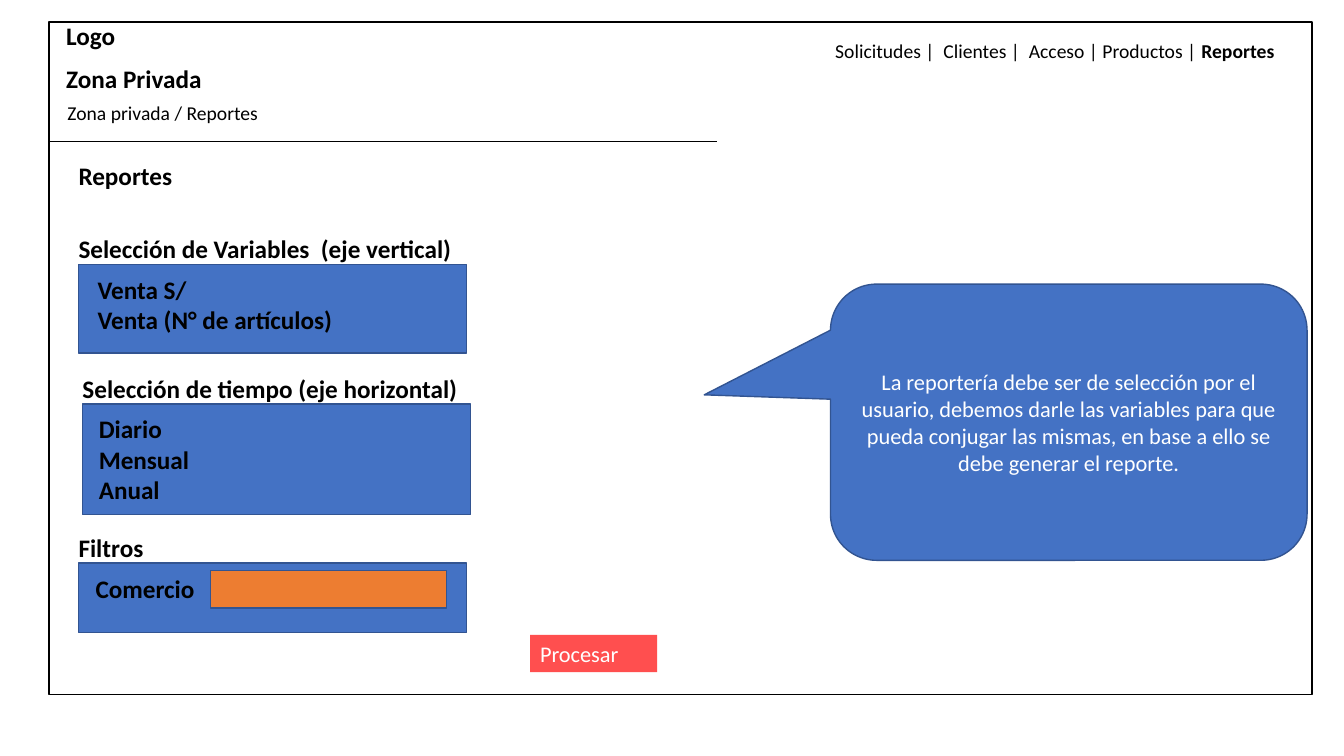
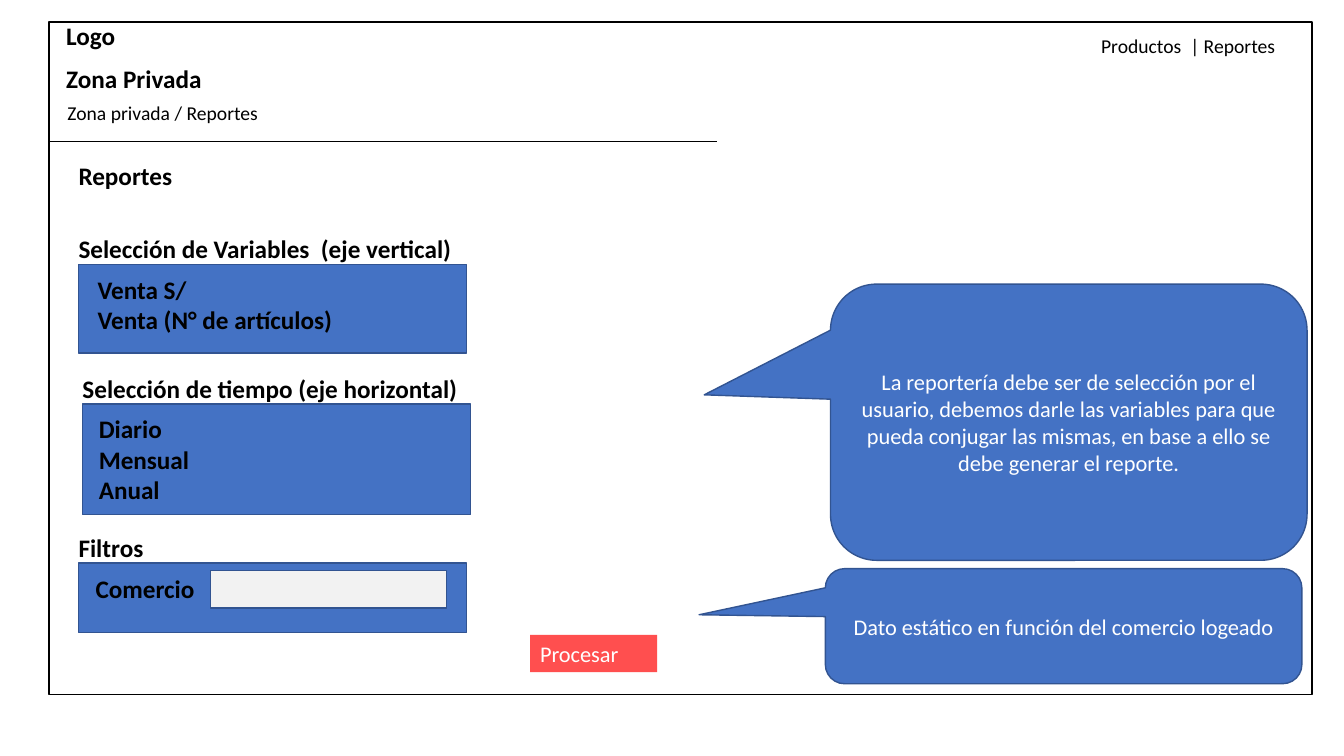
from pptx import Presentation
from pptx.dml.color import RGBColor
from pptx.enum.shapes import MSO_CONNECTOR, MSO_SHAPE
from pptx.enum.text import MSO_ANCHOR, PP_ALIGN
from pptx.oxml.ns import qn
from pptx.util import Cm, Pt
from lxml import etree

RECT = MSO_SHAPE.RECTANGLE
BUBBLE = MSO_SHAPE.ROUNDED_RECTANGULAR_CALLOUT
STRAIGHT = MSO_CONNECTOR.STRAIGHT
TOP, MIDDLE = MSO_ANCHOR.TOP, MSO_ANCHOR.MIDDLE
LEFT, CENTER = PP_ALIGN.LEFT, PP_ALIGN.CENTER

FONT = "Calibri"
BLACK = RGBColor(0x00, 0x00, 0x00)
WHITE = RGBColor(0xFF, 0xFF, 0xFF)
BLUE = RGBColor(0x44, 0x72, 0xC4)
NAVY = RGBColor(0x32, 0x54, 0x91)
RED = RGBColor(0xFF, 0x4F, 0x4F)
ORANGE = RGBColor(0xED, 0x7D, 0x31)
GRAY = RGBColor(0xF2, 0xF2, 0xF2)

# Panels: left, top, box height, text inset, title, lines
PANELS = [
    (1.73, 5.75, 2.24, 0.48, "Selección de Variables  (eje vertical)",
     ["Venta S/", "Venta (N° de artículos)"]),
    (1.83, 9.27, 2.79, 0.41, "Selección de tiempo (eje horizontal)",
     ["Diario", "Mensual", "Anual"]),
    (1.73, 13.28, 1.75, 0.43, "Filtros", ["Comercio"]),
]
ADVICE = ("La reportería debe ser de selección por el usuario, debemos darle "
          "las variables para que pueda conjugar las mismas, en base a ello "
          "se debe generar el reporte.")


def write(shape, lines, size, color=BLACK, bold=False, align=LEFT, anchor=TOP):
    frame = shape.text_frame
    frame.word_wrap = True
    frame.vertical_anchor = anchor
    frame.text = "\n".join(lines)
    for para in frame.paragraphs:
        para.alignment = align
        font = para.font
        font.name, font.size, font.bold = FONT, Pt(size), bold
        font.color.rgb = color


def label(slide, x, y, width, lines, size=18, bold=True):
    height = 0.25 + len(lines) * size * 0.0425
    box = slide.shapes.add_textbox(Cm(x), Cm(y), Cm(width), Cm(height))
    write(box, lines, size, bold=bold)
    return box


def block(slide, x, y, width, height, fill=None, line=NAVY, kind=RECT):
    shape = slide.shapes.add_shape(kind, Cm(x), Cm(y), Cm(width), Cm(height))
    shape.shadow.inherit = False
    if fill is None:
        shape.fill.background()
    else:
        shape.fill.solid()
        shape.fill.fore_color.rgb = fill
    if line is None:
        shape.line.fill.background()
    else:
        shape.line.color.rgb = line
        shape.line.width = Pt(1)
    return shape


def rule(slide, x, y, end):
    line = slide.shapes.add_connector(STRAIGHT, Cm(x), Cm(y), Cm(end), Cm(y))
    line.line.color.rgb = BLACK
    line.line.width = Pt(0.5)
    etree.SubElement(line._element.spPr, qn("a:effectLst"))


def bubble(slide, x, y, height, text):
    shape = block(slide, x, y, 12.01, height, BLUE, kind=BUBBLE)
    for i, value in enumerate((-0.765, -0.099, 0.167)):
        shape.adjustments[i] = value
    write(shape, [text], 16, WHITE, align=CENTER, anchor=MIDDLE)


def panel(slide, x, y, height, inset, title, lines):
    label(slide, x, y, 11.13, [title])
    block(slide, x + 0.25, y + 0.91, 9.78, height, BLUE)
    label(slide, x + inset, y + 1.03, 8.8, lines)


def menu(slide, x, y, width, text, active=""):
    box = label(slide, x, y, width, [text], 14, False)
    if active:
        run = box.text_frame.paragraphs[0].add_run()
        run.text = active
        run.font.bold = True


def screen(deck, field):
    slide = deck.slides.add_slide(deck.slide_layouts[6])
    # Page frame and header
    block(slide, 1.24, 0.56, 31.83, 16.94, line=BLACK)
    label(slide, 1.42, 0.38, 3.63, ["Logo"])
    label(slide, 1.42, 1.47, 5.87, ["Zona Privada"])
    label(slide, 1.45, 2.41, 5.66, ["Zona privada / Reportes"], 14, False)
    rule(slide, 1.24, 3.56, 18.08)
    # Report form
    label(slide, 1.73, 3.91, 5.87, ["Reportes"])
    for spec in PANELS:
        panel(slide, *spec)
    block(slide, 5.31, 14.38, 5.94, 0.94, field)
    button = block(slide, 13.36, 16, 3.2, 0.94, RED, None)
    write(button, ["Procesar"], 16, WHITE)
    # Remark
    bubble(slide, 20.93, 7.16, 6.96, ADVICE)
    return slide


def main():
    deck = Presentation()
    deck.slide_width, deck.slide_height = Cm(33.87), Cm(19.05)

    # Full menu, open filter
    slide = screen(deck, ORANGE)
    menu(slide, 20.8, 0.86, 12.24,
         "Solicitudes |  Clientes |  Acceso | Productos | ", "Reportes")

    # Short menu, fixed filter
    slide = screen(deck, GRAY)
    bubble(slide, 20.8, 14.33, 2.9, "Dato estático en función del comercio logeado")
    menu(slide, 27.5, 0.74, 5.5, "Productos  | Reportes")

    deck.save("out.pptx")


if __name__ == "__main__":
    main()
